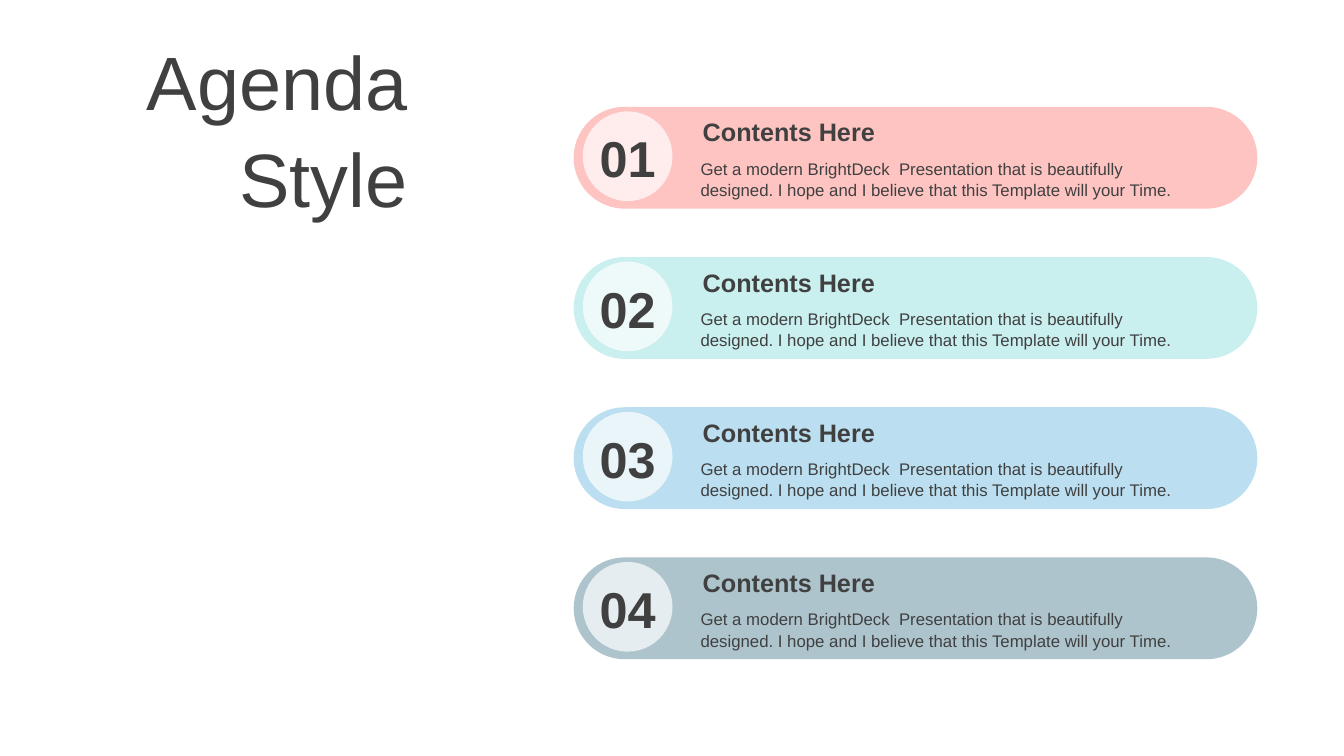
from typing import NamedTuple

from lxml.etree import SubElement
from pptx import Presentation
from pptx.dml.color import RGBColor
from pptx.enum.shapes import MSO_SHAPE as Preset
from pptx.enum.text import MSO_ANCHOR as Anchor, MSO_AUTO_SIZE as AutoSize, PP_ALIGN as Align
from pptx.oxml.ns import qn
from pptx.shapes.autoshape import Shape
from pptx.shapes.shapetree import GroupShapes
from pptx.slide import Slide
from pptx.util import Inches, Pt

FONT = "Arial"
DARK = "404040"
FIRST_TOP = 1.06
ROW_PITCH = 1.49
LINE_SPACING = 1.06
HEADING = "Contents Here"
DETAIL = ("Get a modern BrightDeck  Presentation that is beautifully designed. "
          "I hope and I believe that this Template will your Time.")


class Box(NamedTuple):
    left: float
    top: float
    width: float
    height: float


class AgendaItem(NamedTuple):
    number: str
    color: str
    heading: str = HEADING
    detail: str = DETAIL


class TextStyle(NamedTuple):
    size: int
    bold: bool = False
    align: Align = Align.LEFT
    anchor: Anchor = Anchor.TOP
    side_inset: float = 0.1
    spacing: float = 1.0


TITLE = TextStyle(54, align=Align.RIGHT, anchor=Anchor.MIDDLE, spacing=LINE_SPACING)
NUMBER = TextStyle(36, True, Align.CENTER, Anchor.MIDDLE, 0.12)
HEADING_STYLE = TextStyle(18, True, side_inset=0.12)
DETAIL_STYLE = TextStyle(12, spacing=LINE_SPACING)

AGENDA = [
    AgendaItem("01", "FB6D67"),
    AgendaItem("02", "78D7D7"),
    AgendaItem("03", "55B0DA"),
    AgendaItem("04", "356C84"),
]


def rgb(color: str) -> RGBColor:
    return RGBColor.from_string(color)


def inches(box: Box) -> list[Inches]:
    return [Inches(length) for length in box]


def write(shape: Shape, text: str, style: TextStyle) -> None:
    frame = shape.text_frame
    frame.word_wrap = True
    frame.auto_size = AutoSize.NONE
    frame.vertical_anchor = style.anchor
    frame.margin_left = frame.margin_right = Inches(style.side_inset)
    frame.margin_top = frame.margin_bottom = Inches(0.05)
    frame.text = text
    paragraph = frame.paragraphs[0]
    paragraph.alignment = style.align
    paragraph.line_spacing = style.spacing
    font = paragraph.font
    font.name, font.size, font.bold = FONT, Pt(style.size), style.bold
    font.color.rgb = rgb(DARK)


def add_tinted(shapes: GroupShapes, preset: Preset, box: Box, color: str, opacity: int) -> Shape:
    """Add an outline-free shape whose fill has the given opacity in percent."""
    shape = shapes.add_shape(preset, *inches(box))
    shape.shadow.inherit = False
    shape.line.fill.background()
    shape.fill.solid()
    shape.fill.fore_color.rgb = rgb(color)
    fill_color = shape.fill._xPr.find(f".//{qn('a:srgbClr')}")
    SubElement(fill_color, qn("a:alpha"), val=str(opacity * 1000))
    return shape


def add_agenda_item(slide: Slide, item: AgendaItem, top: float) -> None:
    row = slide.shapes.add_group_shape().shapes
    bar = add_tinted(row, Preset.ROUNDED_RECTANGLE, Box(5.69, top, 6.78, 1.01), item.color, 40)
    bar.adjustments[0] = 0.5
    add_tinted(row, Preset.OVAL, Box(5.78, top + 0.045, 0.89, 0.89), "FFFFFF", 70)
    for text, box, style in (
        (item.detail, Box(6.85, top + 0.45, 5.1, 0.5), DETAIL_STYLE),
        (item.heading, Box(6.85, top + 0.05, 5.1, 0.4), HEADING_STYLE),
        (item.number, Box(5.69, top + 0.15, 1.07, 0.71), NUMBER),
    ):
        write(row.add_textbox(*inches(box)), text, style)


def main() -> None:
    deck = Presentation()
    deck.slide_width, deck.slide_height = Inches(13.33), Inches(7.5)
    slide = deck.slides.add_slide(deck.slide_layouts.get_by_name("Title Only"))
    title = slide.shapes.title
    title.left, title.top, title.width, title.height = inches(Box(1.17, 0.29, 2.97, 1.92))
    write(title, "Agenda Style", TITLE)
    for index, item in enumerate(AGENDA):
        add_agenda_item(slide, item, FIRST_TOP + index * ROW_PITCH)
    deck.save("out.pptx")


if __name__ == "__main__":
    main()
